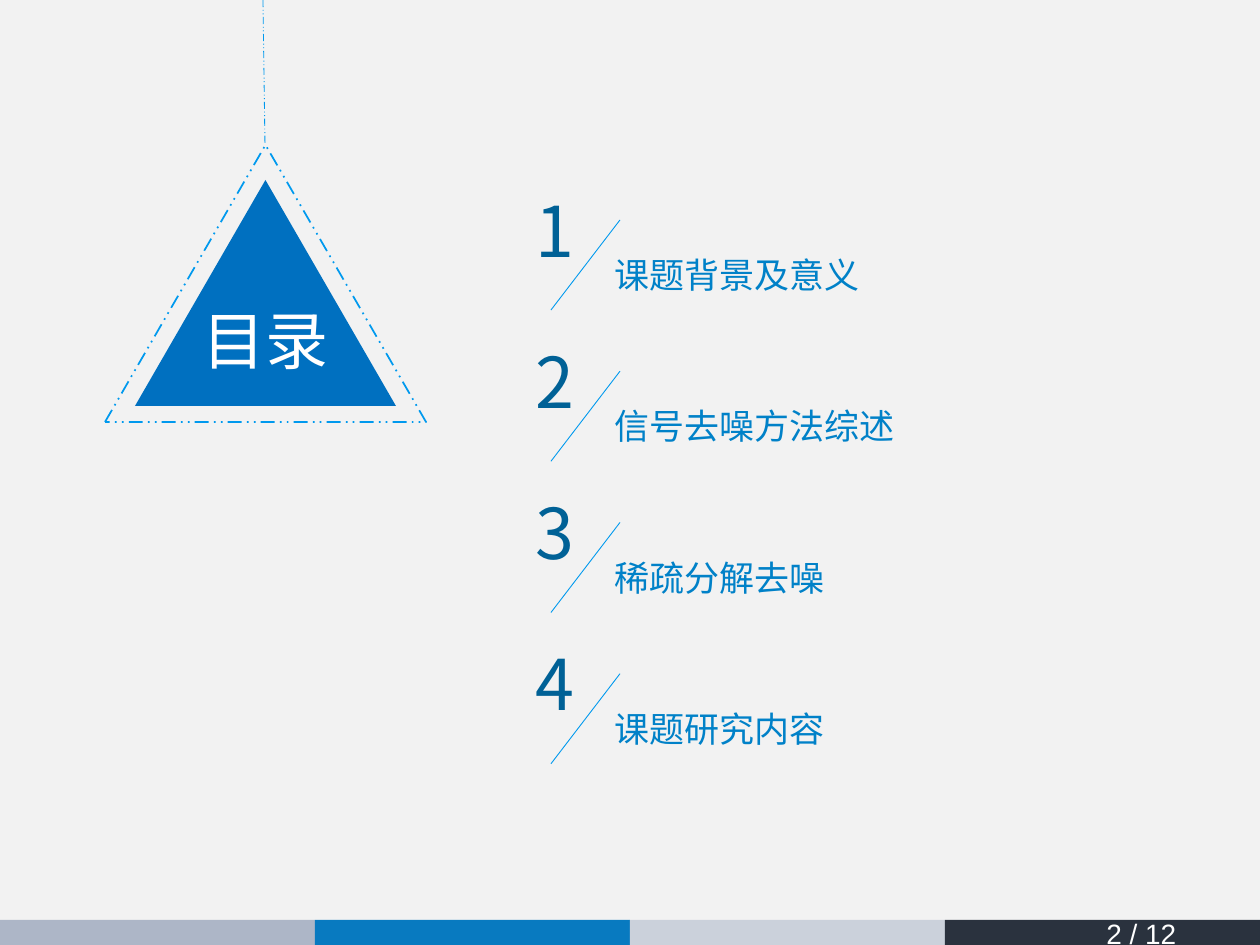
import pptx
import pptx.dml.color
import pptx.enum.dml
import pptx.enum.shapes
import pptx.enum.text
import pptx.oxml.ns
import pptx.util
from lxml import etree

RGBColor = pptx.dml.color.RGBColor
PAPER = RGBColor(0xF2, 0xF2, 0xF2)
WHITE = RGBColor(0xFF, 0xFF, 0xFF)
TRIANGLE_BLUE = RGBColor(0x00, 0x70, 0xC0)
OUTLINE_BLUE = RGBColor(0x00, 0x99, 0xEE)
TITLE_BLUE = RGBColor(0x00, 0x81, 0xC8)
NUMERAL_BLUE = RGBColor(0x00, 0x61, 0x96)
BAND_COLORS = [
    RGBColor(0xAD, 0xB6, 0xC7),
    RGBColor(0x08, 0x7A, 0xC0),
    RGBColor(0xCB, 0xD1, 0xDB),
    RGBColor(0x2A, 0x32, 0x3E),
]

CJK_FONT = "Noto Sans CJK SC"
TOPICS = ["课题背景及意义", "信号去噪方法综述", "稀疏分解去噪", "课题研究内容"]
SHAPE = pptx.enum.shapes.MSO_SHAPE
ANCHOR = pptx.enum.text.MSO_ANCHOR
DASH = pptx.enum.dml.MSO_LINE.DASH_DOT_DOT
EMU_PER_PX = 914400 / 126


def px(length):
    return pptx.util.Emu(round(length * EMU_PER_PX))


def write(paragraph, text, size, color, font_name):
    paragraph.text = text
    font = paragraph.font
    font.size = pptx.util.Pt(size)
    font.color.rgb = color
    font.name = font_name
    properties = paragraph._p.pPr.find(pptx.oxml.ns.qn("a:defRPr"))
    east_asian = etree.SubElement(properties, pptx.oxml.ns.qn("a:ea"))
    east_asian.set("typeface", font_name)


def add_text(slide, box, text, size, color, font_name, anchor=ANCHOR.TOP):
    frame = slide.shapes.add_textbox(*map(px, box)).text_frame
    frame.word_wrap = True
    frame.vertical_anchor = anchor
    write(frame.paragraphs[0], text, size, color, font_name)


def add_filled(slide, preset, box, color):
    shape = slide.shapes.add_shape(preset, *map(px, box))
    shape.shadow.inherit = False
    shape.fill.solid()
    shape.fill.fore_color.rgb = color
    shape.line.fill.background()
    return shape


def add_line(slide, start, end):
    line = slide.shapes.add_connector(
        pptx.enum.shapes.MSO_CONNECTOR.STRAIGHT, *map(px, start + end))
    line.line.color.rgb = OUTLINE_BLUE
    line.line.width = pptx.util.Pt(0.5)
    etree.SubElement(line._element.spPr, pptx.oxml.ns.qn("a:effectLst"))
    return line


def add_footer(slide, left, top, width, height):
    band_width = width / len(BAND_COLORS)
    for index, color in enumerate(BAND_COLORS):
        band = (left + index * band_width, top, band_width, height)
        add_filled(slide, SHAPE.RECTANGLE, band, color)
    add_text(slide, (left + width - 166, top - 10, 166, 47),
             "2 / 12", 16, WHITE, "Arial")


def add_pendant(slide, left, top, width, height):
    heading = add_filled(slide, SHAPE.ISOSCELES_TRIANGLE,
                         (left + 30, top + 35, width - 60, height - 51), TRIANGLE_BLUE)
    frame = heading.text_frame
    frame.margin_left = frame.margin_right = frame.margin_top = 0
    frame.margin_bottom = px(20)
    frame.vertical_anchor = ANCHOR.MIDDLE
    frame.paragraphs[0].alignment = pptx.enum.text.PP_ALIGN.CENTER
    write(frame.paragraphs[0], "目录", 36, WHITE, CJK_FONT)

    frame_triangle = add_filled(slide, SHAPE.ISOSCELES_TRIANGLE,
                                (left, top, width, height), WHITE)
    frame_triangle.fill.background()
    frame_triangle.line.color.rgb = OUTLINE_BLUE
    frame_triangle.line.width = pptx.util.Pt(1)
    frame_triangle.line.dash_style = DASH

    apex = left + width // 2
    cord = add_line(slide, (apex - 2, 0), (apex, top))
    cord.line.dash_style = DASH


def add_topics(slide, left, top, width, height):
    pitch = height / len(TOPICS)
    for index, topic in enumerate(TOPICS):
        row = top + index * pitch
        add_text(slide, (left + 79, row + 66, width - 79, 55),
                 topic, 20, TITLE_BLUE, CJK_FONT, ANCHOR.MIDDLE)
        add_line(slide, (left + 97, row + 39), (left + 28, row + 129))
        add_text(slide, (left, row, 53, 97),
                 str(index + 1), 40, NUMERAL_BLUE, CJK_FONT)


def main():
    deck = pptx.Presentation()
    deck.slide_width = px(1260)
    deck.slide_height = px(945)
    slide = deck.slides.add_slide(deck.slide_layouts[6])
    slide.background.fill.solid()
    slide.background.fill.fore_color.rgb = PAPER
    add_footer(slide, 0, 920, 1260, 25)
    add_pendant(slide, 105, 145, 321, 277)
    add_topics(slide, 523, 181, 649, 605)
    deck.save("out.pptx")


if __name__ == "__main__":
    main()
